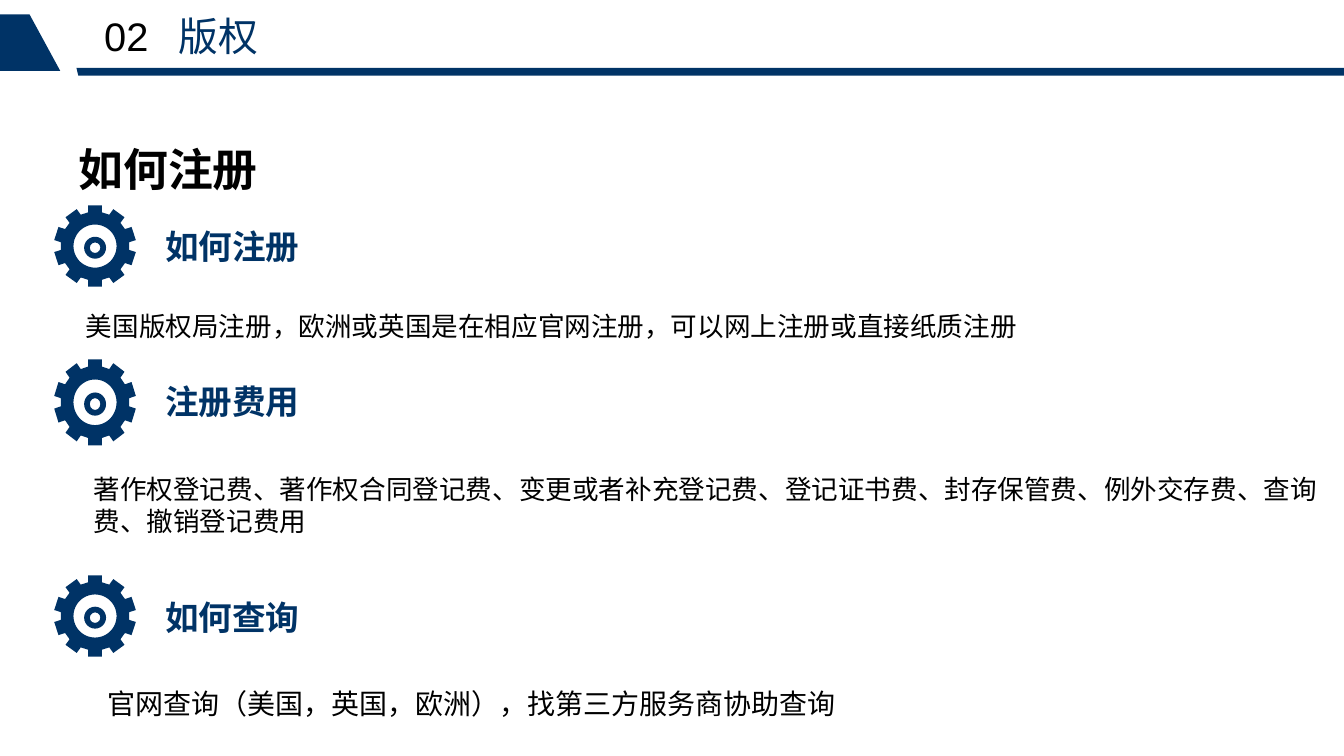
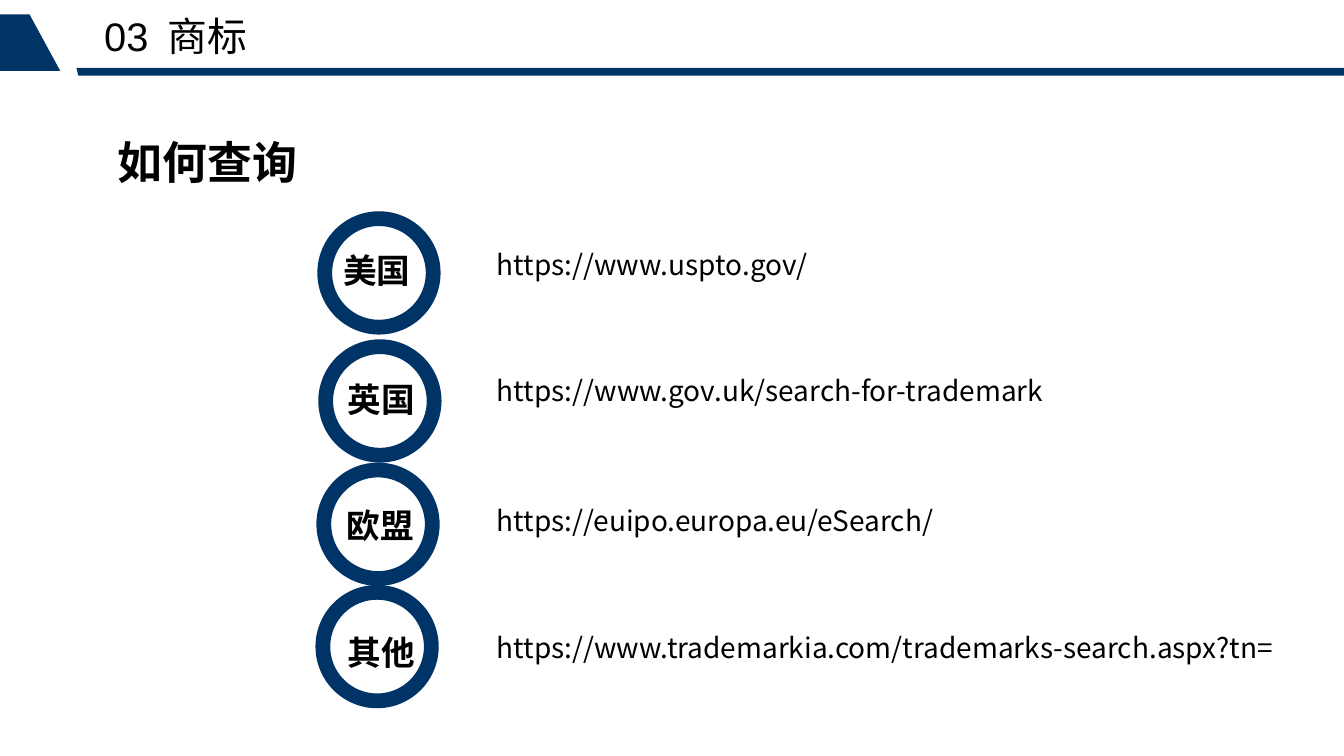
"""Build two slides on registering copyright and searching trademarks."""

import math
from dataclasses import dataclass
from typing import Any

import lxml.etree
import pptx
import pptx.dml.color
import pptx.enum.shapes
import pptx.enum.text
import pptx.oxml.ns
import pptx.util

SLIDE_WIDTH = pptx.util.Inches(14.06)
SLIDE_HEIGHT = pptx.util.Inches(7.91)
NAVY = "003366"
BLACK = "000000"
CJK_FONT = "Noto Sans CJK SC"
LATIN_FONT = "Arial"
TITLE_SIZE = 33.8
LABEL_SIZE = 25.3
ADDRESS_SIZE = 21.1
HEADER_SIZE = 30

TEETH = 10
ROOT_RADIUS = 0.83
HALF_TOOTH = 0.17
HOLE_RADIUS = 0.53
HUB_SHARE = 0.27
HUB_DROP = 0.02

Point = tuple[float, float]


@dataclass(frozen=True)
class Area:
    """A rectangle in percent of the slide's width and height."""

    left: float
    top: float
    width: float
    height: float

    def lengths(self) -> tuple[int, int, int, int]:
        """Return the rectangle as slide lengths."""
        return (*to_slide((self.left, self.top)), *to_slide((self.width, self.height)))


@dataclass(frozen=True)
class Header:
    """The section number and name, with the tab stop between them."""

    number: str
    name: str
    color: str
    tab_inches: float


@dataclass(frozen=True)
class Topic:
    """A gear, its heading and the text below it."""

    heading: str
    gear_top: float
    gear_height: float
    heading_top: float
    text: str
    text_area: Area
    text_size: float


@dataclass(frozen=True)
class Region:
    """A ring with a region's name and its search address."""

    name: str
    ring_left: float
    ring_top: float
    name_left: float
    name_top: float
    address: str
    address_area: Area


TOPICS = [
    Topic("如何注册", 27.18, 10.75, 29.2,
          "美国版权局注册，欧洲或英国是在相应官网注册，可以网上注册或直接纸质注册",
          Area(5.69, 40.33, 93.03, 5.56), 20),
    Topic("注册费用", 47.53, 11.38, 49.81,
          "著作权登记费、著作权合同登记费、变更或者补充登记费、登记证书费、封存保管费、例外交存费、查询费、撤销登记费用",
          Area(6.26, 61.95, 93.31, 9.73), 20),
    Topic("如何查询", 76.11, 10.75, 78.38,
          "官网查询（美国，英国，欧洲），找第三方服务商协助查询",
          Area(7.33, 90.14, 57.89, 5.69), 21.1),
]

REGIONS = [
    Region("美国", 23.61, 27.94, 23.83, 30.85,
           "https://www.uspto.gov/", Area(36.27, 30.85, 25.75, 7.08)),
    Region("英国", 23.68, 44.88, 24.18, 47.91,
           "https://www.gov.uk/search-for-trademark", Area(36.27, 47.41, 42.75, 7.08)),
    Region("欧盟", 23.54, 61.19, 24.11, 64.6,
           "https://euipo.europa.eu/eSearch/", Area(36.27, 64.6, 35.85, 7.08)),
    Region("其他", 23.47, 77.37, 24.18, 81.42,
           "https://www.trademarkia.com/trademarks-search.aspx?tn=",
           Area(36.27, 81.42, 59.25, 12.9)),
]

BANDS: list[list[Point]] = [
    [(2.2, 1.9), (4.48, 9.36), (0, 9.36), (0, 1.9)],
    [(5.69, 8.98), (100, 8.98), (100, 9.99), (5.83, 9.99)],
]


def to_slide(point: Point) -> tuple[int, int]:
    """Turn percentages of the slide into lengths."""
    return round(SLIDE_WIDTH * point[0] / 100), round(SLIDE_HEIGHT * point[1] / 100)


def rgb(color: str) -> pptx.dml.color.RGBColor:
    """Turn a hex string into a colour."""
    return pptx.dml.color.RGBColor.from_string(color)


def paint(shape: Any) -> None:
    """Fill a shape in navy without line or shadow."""
    shape.shadow.inherit = False
    shape.fill.solid()
    shape.fill.fore_color.rgb = rgb(NAVY)
    shape.line.fill.background()


def format_span(span: Any, size: float, color: str, font: str = CJK_FONT, bold: bool = False) -> None:
    """Set the font of one run for Latin and Chinese text."""
    span.font.size = pptx.util.Pt(size)
    span.font.bold = bold
    span.font.color.rgb = rgb(color)
    span.font.name = font
    east_asian = lxml.etree.SubElement(span.font._element, pptx.oxml.ns.qn("a:ea"))
    east_asian.set("typeface", font)


def write_text(box: Any, text: str, size: float, color: str = BLACK, bold: bool = False,
               centred: bool = False, spacing: float = 1.0) -> None:
    """Write one formatted paragraph into a box."""
    frame = box.text_frame
    frame.text = text
    frame.word_wrap = True
    frame.auto_size = pptx.enum.text.MSO_AUTO_SIZE.SHAPE_TO_FIT_TEXT
    para = frame.paragraphs[0]
    para.line_spacing = spacing
    alignments = pptx.enum.text.PP_ALIGN
    para.alignment = alignments.CENTER if centred else alignments.LEFT
    format_span(para.runs[0], size, color, bold=bold)


def add_text(page: Any, area: Area, text: str, size: float, **style: Any) -> None:
    """Add a text box."""
    write_text(page.shapes.add_textbox(*area.lengths()), text, size, **style)


def draw_outlines(shapes: Any, outlines: list[list[Point]]) -> None:
    """Draw closed outlines as one freeform."""
    builder = None
    for outline in outlines:
        start, *rest = [to_slide(point) for point in outline]
        if builder is None:
            builder = shapes.build_freeform(*start, scale=1.0)
        else:
            builder.move_to(*start)
        builder.add_line_segments(rest, close=True)
    paint(builder.convert_to_shape())


def add_ring(shapes: Any, area: Area, thickness: float) -> None:
    """Draw a navy ring."""
    ring = shapes.add_shape(pptx.enum.shapes.MSO_SHAPE.DONUT, *area.lengths())
    ring.adjustments[0] = thickness
    paint(ring)


def add_gear(page: Any, area: Area) -> None:
    """Draw a toothed wheel with a hub ring."""
    centre_x = area.left + area.width / 2
    centre_y = area.top + area.height / 2

    def place(x: float, y: float) -> Point:
        """Map a point of the unit wheel to the slide."""
        return centre_x + x * area.width / 2, centre_y + y * area.height / 2

    tooth = [(ROOT_RADIUS, -HALF_TOOTH), (1, -HALF_TOOTH), (1, HALF_TOOTH), (ROOT_RADIUS, HALF_TOOTH)]
    rim = []
    for index in range(TEETH):
        angle = math.tau * index / TEETH - math.pi / 2
        cosine, sine = math.cos(angle), math.sin(angle)
        rim += [place(out * cosine - side * sine, out * sine + side * cosine) for out, side in tooth]
    hole = [place(HOLE_RADIUS * math.cos(math.radians(degree)), HOLE_RADIUS * math.sin(math.radians(degree)))
            for degree in range(360, 0, -6)]
    group = page.shapes.add_group_shape()
    draw_outlines(group.shapes, [rim, hole])
    hub_width, hub_height = area.width * HUB_SHARE, area.height * HUB_SHARE
    hub_top = centre_y - hub_height / 2 + area.height * HUB_DROP
    add_ring(group.shapes, Area(centre_x - hub_width / 2, hub_top, hub_width, hub_height), 0.26)


def add_header(page: Any, header: Header) -> None:
    """Draw the bands and the section name."""
    for band in BANDS:
        draw_outlines(page.shapes, [band])
    box = page.shapes.add_textbox(*Area(4.48, 1.52, 64.22, 6.32).lengths())
    frame = box.text_frame
    frame.word_wrap = True
    frame.margin_left = pptx.util.Inches(0.46)
    frame.margin_top = frame.margin_right = frame.margin_bottom = 0
    para = frame.paragraphs[0]
    para.space_after = pptx.util.Pt(6)
    tabs = lxml.etree.SubElement(para._p.get_or_add_pPr(), pptx.oxml.ns.qn("a:tabLst"))
    tab = lxml.etree.SubElement(tabs, pptx.oxml.ns.qn("a:tab"))
    tab.set("pos", str(pptx.util.Inches(header.tab_inches)))
    tab.set("algn", "l")
    for text, color, font in [(header.number + "\t", BLACK, LATIN_FONT),
                              (header.name, header.color, CJK_FONT)]:
        span = para.add_run()
        span.text = text
        format_span(span, HEADER_SIZE, color, font)


def add_page(deck: Any, header: Header, title: str, area: Area) -> Any:
    """Add a slide with its header and title."""
    page = deck.slides.add_slide(deck.slide_layouts[5])
    box = page.shapes.title
    box.left, box.top, box.width, box.height = area.lengths()
    write_text(box, title, TITLE_SIZE, bold=True)
    box.text_frame.vertical_anchor = pptx.enum.text.MSO_ANCHOR.MIDDLE
    add_header(page, header)
    return page


def build_registration(deck: Any) -> None:
    """Build the copyright slide."""
    page = add_page(deck, Header("02", "版权", NAVY, 0.78), "如何注册", Area(5.12, 18.08, 51.99, 8.47))
    for topic in TOPICS:
        add_gear(page, Area(4.05, topic.gear_top, 6.05, topic.gear_height))
        add_text(page, Area(11.59, topic.heading_top, 18.71, 6.7), topic.heading, LABEL_SIZE,
                 color=NAVY, bold=True)
        add_text(page, topic.text_area, topic.text, topic.text_size)


def build_search(deck: Any) -> None:
    """Build the trademark slide."""
    page = add_page(deck, Header("03", "商标", BLACK, 0.66), "如何查询", Area(8.04, 17.19, 35.63, 8.47))
    for region in REGIONS:
        add_ring(page.shapes, Area(region.ring_left, region.ring_top, 9.17, 16.31), 0.12)
        add_text(page, Area(region.name_left, region.name_top, 8.39, 8.22), region.name, LABEL_SIZE,
                 bold=True, centred=True, spacing=1.3)
        add_text(page, region.address_area, region.address, ADDRESS_SIZE, spacing=1.3)


def main() -> None:
    """Build and save the deck."""
    deck = pptx.Presentation()
    deck.slide_width = SLIDE_WIDTH
    deck.slide_height = SLIDE_HEIGHT
    build_registration(deck)
    build_search(deck)
    deck.save("out.pptx")


if __name__ == "__main__":
    main()
